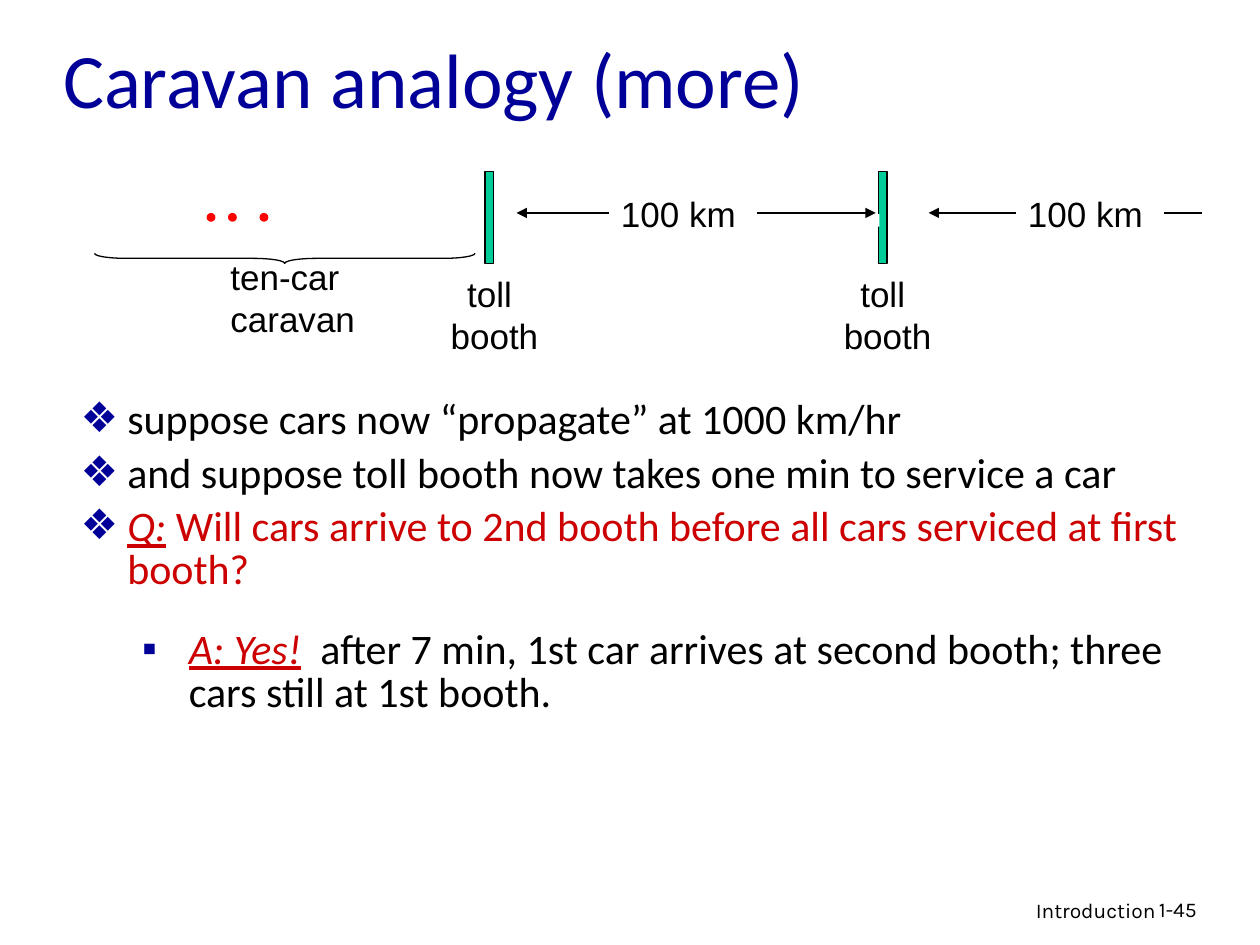
import dataclasses
import typing

import lxml.etree
import pptx
import pptx.dml.color
import pptx.enum.shapes
import pptx.enum.text
import pptx.oxml.ns
import pptx.util

Inches = pptx.util.Inches
Shape = pptx.enum.shapes.MSO_SHAPE
Align = pptx.enum.text.PP_ALIGN
Fit = pptx.enum.text.MSO_AUTO_SIZE
qn = pptx.oxml.ns.qn

COLORS = {"navy": "000099", "black": "000000", "red": "CC0000",
          "dot": "FF0000", "green": "00CC99", "white": "FFFFFF"}


def shade(name):
    """Return the named colour as an RGB value."""
    return pptx.dml.color.RGBColor.from_string(COLORS[name])


@dataclasses.dataclass
class Deck:
    """Hold the style and the current slide."""
    slide: typing.Any
    head: str = "Calibri"
    plain: str = "Arial"
    small: str = "Karla"
    thin: float = 0.75

    def place(self, item, box):
        """Move and size an item."""
        item.left, item.top, item.width, item.height = map(Inches, box)

    def run(self, para, text, font, size, color="black", mark=False):
        """Add one run, in underlined italics if marked."""
        run = para.add_run()
        run.text = text
        run.font.name, run.font.size = font, pptx.util.Pt(size)
        run.font.color.rgb = shade(color)
        if mark:
            run.font.italic = run.font.underline = True

    def title(self, text, box):
        """Fill the title placeholder."""
        item = self.slide.shapes.title
        self.place(item, box)
        frame = item.text_frame
        frame.auto_size = Fit.NONE
        frame.vertical_anchor = pptx.enum.text.MSO_ANCHOR.MIDDLE
        para = frame.paragraphs[0]
        para.alignment = Align.LEFT
        self.run(para, text, self.head, 44, "navy")

    def bullets(self, item, box, sign, rows):
        """Fill an item with a list of rows, each made of runs."""
        self.place(item, box)
        frame = item.text_frame
        frame.word_wrap = True
        frame.auto_size = Fit.NONE
        for i, row in enumerate(rows):
            para = frame.add_paragraph() if i else frame.paragraphs[0]
            para.line_spacing, para.space_before = 0.85, pptx.util.Pt(6)
            for part in row:
                self.run(para, part[0], self.head, 24, *part[1:])
            props = para._p.get_or_add_pPr()
            props.set("marL", str(Inches(0.37)))
            props.set("indent", str(Inches(-0.37)))
            tint = lxml.etree.SubElement(props, qn("a:buClr"))
            lxml.etree.SubElement(tint, qn("a:srgbClr"), val=COLORS["navy"])
            lxml.etree.SubElement(props, qn("a:buFont"), typeface=self.plain)
            lxml.etree.SubElement(props, qn("a:buChar"), char=sign)

    def label(self, box, lines, font, size, align=Align.LEFT, wrap=True):
        """Add a text box with one paragraph a line."""
        frame = self.slide.shapes.add_textbox(*map(Inches, box)).text_frame
        frame.word_wrap = wrap
        frame.auto_size = Fit.NONE if wrap else Fit.SHAPE_TO_FIT_TEXT
        for i, line in enumerate(lines):
            para = frame.add_paragraph() if i else frame.paragraphs[0]
            para.alignment = align
            self.run(para, line, font, size)

    def shape(self, kind, box, fill=None, line=False):
        """Add a preset shape."""
        item = self.slide.shapes.add_shape(kind, *map(Inches, box))
        item.shadow.inherit = False
        if fill:
            item.fill.solid()
            item.fill.fore_color.rgb = shade(fill)
        else:
            item.fill.background()
        if line:
            item.line.color.rgb = shade("black")
            item.line.width = pptx.util.Pt(self.thin)
        else:
            item.line.fill.background()
        return item

    def line(self, start, end, y, arrow=True):
        """Add a level line, with an arrowhead at its end."""
        item = self.slide.shapes.add_connector(
            pptx.enum.shapes.MSO_CONNECTOR.STRAIGHT,
            Inches(start), Inches(y), Inches(end), Inches(y))
        item.line.color.rgb = shade("black")
        item.line.width = pptx.util.Pt(self.thin)
        props = item.element.spPr
        if arrow:
            lxml.etree.SubElement(props.find(qn("a:ln")), qn("a:tailEnd"),
                                  type="triangle")
        lxml.etree.SubElement(props, qn("a:effectLst"))

    def booth(self, x):
        """Add a toll booth with its label."""
        self.shape(Shape.RECTANGLE, (x, 1.36, 0.07, 0.73), "green", True)
        self.label((x - 0.39, 2.11, 0.93, 0.77), ["toll ", "booth"],
                   self.plain, 20, Align.CENTER, False)

    def brace(self, box):
        """Add a brace turned to point down."""
        item = self.shape(Shape.LEFT_BRACE, box, line=True)
        item.adjustments[0] = 3.12
        item.rotation = 270


def main():
    """Build and save the slide."""
    show = pptx.Presentation()
    show.slide_width, show.slide_height = Inches(10), Inches(7.5)
    slide = show.slides.add_slide(show.slide_layouts[1])
    deck = Deck(slide)

    deck.label((6.1, 7.07, 3.17, 0.31), ["Introduction"], deck.small, 12,
               Align.RIGHT)
    deck.title("Caravan analogy (more)", (0.4, 0.15, 8.5, 0.93))
    deck.bullets(slide.placeholders[1], (0.54, 3.13, 9.1, 3.63), "❖", [
        [("suppose cars now “propagate” at 1000 km/hr",)],
        [("and suppose toll booth now takes one min to service a car",)],
        [("Q:", "red", True),
         (" Will cars arrive to 2nd booth before all cars serviced"
          " at first booth?", "red")]])
    reply = (1.03, 4.95, 8.74, 1.91)
    deck.bullets(slide.shapes.add_textbox(*map(Inches, reply)), reply, "▪", [
        [("A: Yes!", "red", True),
         ("  after 7 min, 1st car arrives at second booth;"
          " three cars still at 1st booth.",)]])

    for x in (6.97, 3.85):
        deck.booth(x)
    deck.brace((2.22, 0.54, 0.08, 3.02))
    deck.label((1.73, 1.98, 1.19, 0.77), ["ten-car", "caravan"],
               deck.plain, 20)
    for x, tip in ((4.83, 4.1), (8.06, 7.37)):
        deck.line(x, tip, 1.69)
        deck.label((x, 1.48, 1.17, 0.44), ["100 km"], deck.plain, 20)
    deck.line(9.24, 9.54, 1.69, False)
    for x in (1.64, 1.81, 2.06):
        deck.shape(Shape.OVAL, (x, 1.69, 0.07, 0.07), "dot")
    deck.shape(Shape.RECTANGLE, (6.81, 1.7, 0.17, 0.1), "white")
    deck.line(6.01, 6.95, 1.69)
    deck.label((9.1, 7.07, 0.74, 0.3), ["1-45"], deck.small, 12)
    show.save("out.pptx")


if __name__ == "__main__":
    main()
